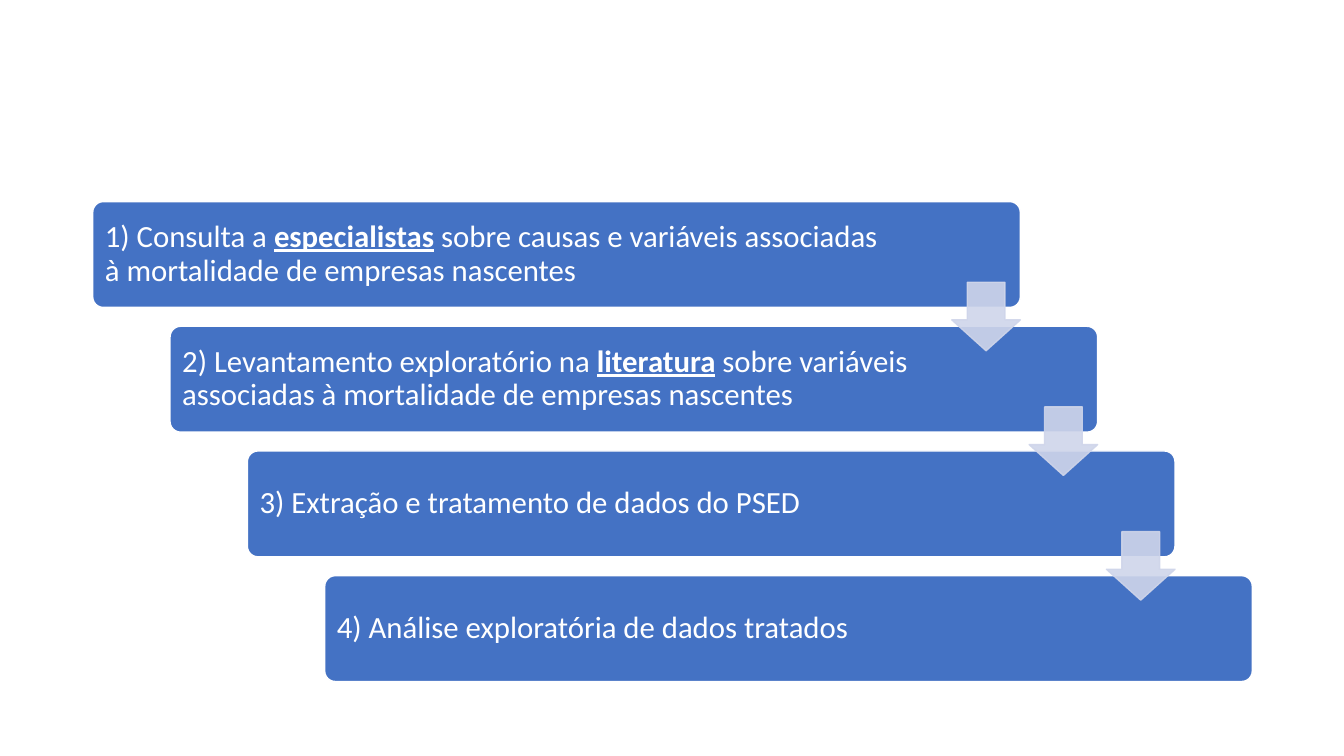
from pptx import Presentation
from pptx.dml.color import RGBColor
from pptx.enum.shapes import MSO_SHAPE
from pptx.enum.text import MSO_ANCHOR, PP_ALIGN
from pptx.oxml import parse_xml
from pptx.oxml.ns import nsdecls, qn
from pptx.util import Inches, Pt

ROUNDED = MSO_SHAPE.ROUNDED_RECTANGLE
DOWN_ARROW = MSO_SHAPE.DOWN_ARROW
MIDDLE = MSO_ANCHOR.MIDDLE
LEFT = PP_ALIGN.LEFT

BLANK_LAYOUT = 6
STEP_LEFT, STEP_TOP = 0.92, 2.0
STEP_WIDTH, STEP_HEIGHT = 9.2, 1.05
SHIFT_X, SHIFT_Y = 0.767, 1.237
TEXT_INSET = 0.03
ARROW_SIZE, ARROW_DROP = 0.68, 0.8

# Each step: width of its text, then its spans as (text, emphasised).
STEPS = [
    (7.98, [("1) Consulta a ", False), ("especialistas", True),
            (" sobre causas e variáveis associadas à mortalidade de empresas nascentes", False)]),
    (7.69, [("2) Levantamento exploratório na ", False), ("literatura", True),
            (" sobre variáveis associadas à mortalidade de empresas nascentes", False)]),
    (7.69, [("3) Extração e tratamento de dados do PSED", False)]),
    (7.69, [("4) Análise exploratória de dados tratados", False)]),
]


def color(hex_text):
    """Turn a hex string into a colour."""
    return RGBColor.from_string(hex_text)


def set_opacity(shape, percent):
    """Make the fill and line of a shape partly transparent."""
    for tint in shape._element.spPr.iter(qn("a:srgbClr")):
        tint.append(parse_xml(f'<a:alpha {nsdecls("a")} val="{percent * 1000}"/>'))


def add_span(para, text, font="Calibri", size=22, ink="FFFFFF", emphasis=False):
    """Add a formatted span to a paragraph."""
    span = para.add_run()
    span.text = text
    span.font.name = font
    span.font.size = Pt(size)
    span.font.color.rgb = color(ink)
    span.font.bold = span.font.underline = emphasis


class StairPage:
    """Holds the style and the current slide."""

    step_fill, step_line = "4472C4", "FFFFFF"
    arrow_fill = "CFD5EA"

    def __init__(self, deck):
        """Start a blank page in the deck."""
        self.page = deck.slides.add_slide(deck.slide_layouts[BLANK_LAYOUT])

    def shape(self, kind, left, top, width, height, fill, line, adjustments):
        """Draw a filled preset shape with a thin outline."""
        shape = self.page.shapes.add_shape(
            kind, Inches(left), Inches(top), Inches(width), Inches(height))
        shape.shadow.inherit = False
        shape.fill.solid()
        shape.fill.fore_color.rgb = color(fill)
        shape.line.color.rgb = color(line)
        shape.line.width = Pt(1)
        for index, value in enumerate(adjustments):
            shape.adjustments[index] = value
        return shape

    def text(self, left, top, width, height, spans):
        """Place a wrapped, vertically centred text box."""
        box = self.page.shapes.add_textbox(
            Inches(left), Inches(top), Inches(width), Inches(height))
        frame = box.text_frame
        frame.word_wrap = True
        frame.vertical_anchor = MIDDLE
        frame.margin_left = frame.margin_right = Inches(0.09)
        frame.margin_top = frame.margin_bottom = Inches(0.09)
        para = frame.paragraphs[0]
        para.alignment = LEFT
        para.line_spacing = 0.9
        for text, emphasis in spans:
            add_span(para, text, emphasis=emphasis)

    def step(self, left, top, text_width, spans):
        """Draw one stair step with its text."""
        self.shape(ROUNDED, left, top, STEP_WIDTH, STEP_HEIGHT,
                   self.step_fill, self.step_line, [0.1])
        self.text(left + TEXT_INSET, top + TEXT_INSET, text_width,
                  STEP_HEIGHT - 2 * TEXT_INSET, spans)

    def arrow(self, left, top):
        """Draw a translucent arrow leading to the next step."""
        arrow = self.shape(DOWN_ARROW, left, top, ARROW_SIZE, ARROW_SIZE,
                           self.arrow_fill, self.arrow_fill, [0.55, 0.45])
        set_opacity(arrow, 90)


def main():
    """Build the staircase of research steps."""
    deck = Presentation()
    deck.slide_width, deck.slide_height = Inches(13.33), Inches(7.5)
    stairs = StairPage(deck)
    corners = [(STEP_LEFT + index * SHIFT_X, STEP_TOP + index * SHIFT_Y)
               for index in range(len(STEPS))]
    for (left, top), (text_width, spans) in zip(corners, STEPS):
        stairs.step(left, top, text_width, spans)
    for left, top in corners[:-1]:
        stairs.arrow(left + STEP_WIDTH - ARROW_SIZE, top + ARROW_DROP)
    deck.save("out.pptx")


main()
